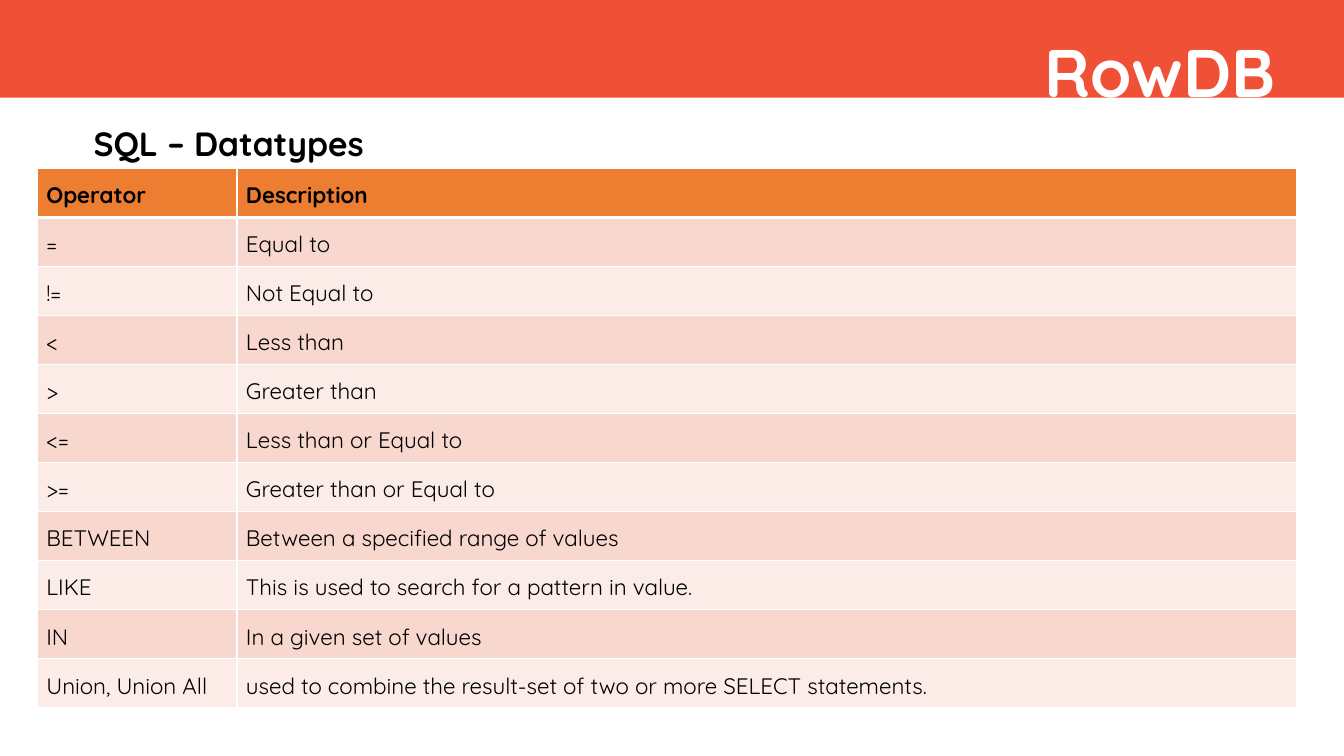
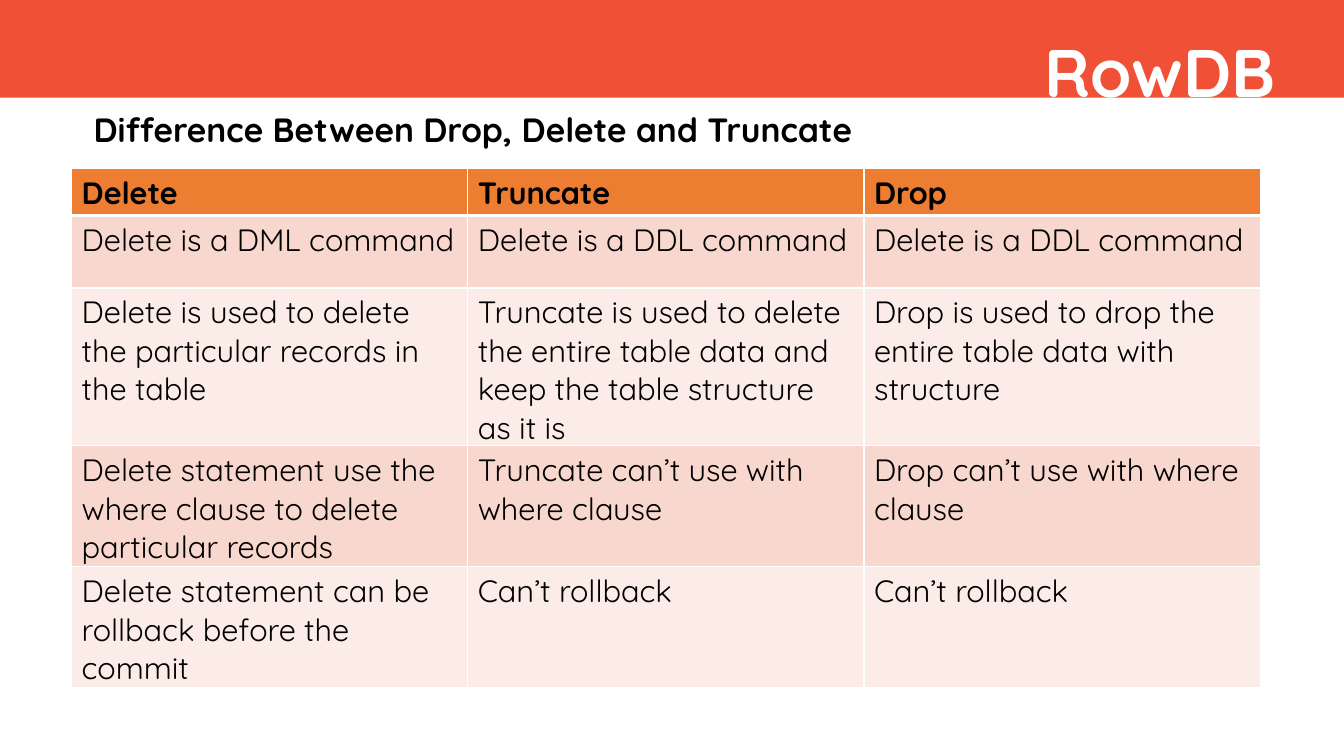
"""Build two slides of SQL reference tables."""
import pptx
import pptx.util
import pptx.dml.color
import pptx.enum.shapes
import pptx.enum.text
import pptx.oxml
import pptx.oxml.ns

RGB = pptx.dml.color.RGBColor
ALIGN = pptx.enum.text.PP_ALIGN
BLACK = RGB(0x00, 0x00, 0x00)
WHITE = RGB(0xFF, 0xFF, 0xFF)
RED = RGB(0xF0, 0x51, 0x36)
ORANGE = RGB(0xED, 0x7D, 0x31)
ROSE = RGB(0xF8, 0xD7, 0xCE)
PALE = RGB(0xFC, 0xEC, 0xE8)
FONT = "Quicksand"
SCALE = 9144
WIDE, HIGH, BAND = 1333, 750, 97
BRAND = "RowDB"

SIGNS = [
    ("Operator", "Description"),
    ("=", "Equal to"),
    ("!=", "Not Equal to"),
    ("<", "Less than"),
    (">", "Greater than"),
    ("<=", "Less than or Equal to"),
    (">=", "Greater than or Equal to"),
    ("BETWEEN", "Between a specified range of values"),
    ("LIKE", "This is used to search for a pattern in value."),
    ("IN", "In a given set of values"),
    ("Union, Union All",
     "used to combine the result-set of two or more SELECT statements."),
]
VERBS = [
    ("Delete", "Truncate", "Drop"),
    ("Delete is a DML command", "Delete is a DDL command",
     "Delete is a DDL command"),
    ("Delete is used to delete the particular records in the table",
     "Truncate is used to delete the entire table data and keep the table "
     "structure as it is",
     "Drop is used to drop the entire table data with structure"),
    ("Delete statement use the where clause to delete particular records",
     "Truncate can’t use with where clause",
     "Drop can’t use with where clause"),
    ("Delete statement can be rollback before the commit",
     "Can’t rollback", "Can’t rollback"),
]


def px(*nums):
    """Turn px lengths into a list of EMU lengths."""
    return [pptx.util.Emu(num * SCALE) for num in nums]


def write(frame, text, size, color=BLACK, bold=True, align=ALIGN.LEFT,
          lead=None, after=None):
    """Put one styled run into the first paragraph of a frame."""
    para = frame.paragraphs[0]
    para.alignment = align
    if lead:
        para.line_spacing = lead
    if after:
        para.space_after = pptx.util.Pt(after)
    run = para.add_run()
    run.text = text
    run.font.name = FONT
    run.font.size = pptx.util.Pt(size)
    run.font.bold = bold
    run.font.color.rgb = color


def label(slide, box, text, size, **style):
    """Add a wrapping text box that grows with its text."""
    frame = slide.shapes.add_textbox(*px(*box)).text_frame
    frame.word_wrap = True
    frame.auto_size = pptx.enum.text.MSO_AUTO_SIZE.SHAPE_TO_FIT_TEXT
    write(frame, text, size, **style)


def band(slide):
    """Add the top band with the brand at its right."""
    rect = pptx.enum.shapes.MSO_SHAPE.RECTANGLE
    bar = slide.shapes.add_shape(rect, *px(0, 0, WIDE, BAND))
    bar.shadow.inherit = False
    bar.fill.solid()
    bar.fill.fore_color.rgb = RED
    bar.line.fill.background()
    label(slide, (425, 25, 850, 91), BRAND, 48, color=WHITE,
          align=ALIGN.RIGHT)


def edge(cell, side, width):
    """Draw one white border of a cell."""
    space = pptx.oxml.ns.nsdecls("a")
    cell._tc.get_or_add_tcPr().append(pptx.oxml.parse_xml(
        f'<a:ln{side} {space} w="{pptx.util.Pt(width)}"><a:solidFill>'
        f'<a:srgbClr val="{WHITE}"/></a:solidFill></a:ln{side}>'))


def paint(cell, row):
    """Give a cell the borders and fill of its row."""
    widths = {"L": 1, "R": 1, "T": 3 if row == 1 else 1,
              "B": 3 if row == 0 else 1}
    for side, width in widths.items():
        edge(cell, side, width)
    cell.fill.solid()
    cell.fill.fore_color.rgb = (
        ORANGE if row == 0 else ROSE if row % 2 else PALE)


def grid(slide, spot, cols, rows, data, size, inset=None, **style):
    """Add a table with a bold head row and banded body rows."""
    box = px(*spot, sum(cols), sum(rows))
    table = slide.shapes.add_table(len(rows), len(cols), *box).table
    for col, width in zip(table.columns, px(*cols)):
        col.width = width
    for row, height in zip(table.rows, px(*rows)):
        row.height = height
    for row, line in enumerate(data):
        for col, text in enumerate(line):
            cell = table.cell(row, col)
            paint(cell, row)
            if inset:
                (cell.margin_left, cell.margin_top, cell.margin_right,
                 cell.margin_bottom) = px(*[inset] * 4)
            write(cell.text_frame, text, size, bold=row == 0, **style)


def page(deck, title, box, lead):
    """Add a blank slide with its title and band."""
    slide = deck.slides.add_slide(deck.slide_layouts[6])
    label(slide, box, title, 24, lead=lead, after=10)
    band(slide)
    return slide


def main():
    """Build and save the deck."""
    deck = pptx.Presentation()
    deck.slide_width, deck.slide_height = px(WIDE, HIGH)
    slide = page(deck, "SQL – Datatypes", (83, BAND, 1193, 234), 1.5)
    grid(slide, (37, 167), [198, 1051], [46] * len(SIGNS), SIGNS, 16,
         inset=9, lead=1.15, after=16.8)
    slide = page(deck, "Difference Between Drop, Delete and Truncate",
                 (83, BAND, 1239, 71), 1.15)
    grid(slide, (71, 167), [393] * 3, [40, 72, 135, 103, 103], VERBS, 22)
    deck.save("out.pptx")


if __name__ == "__main__":
    main()
